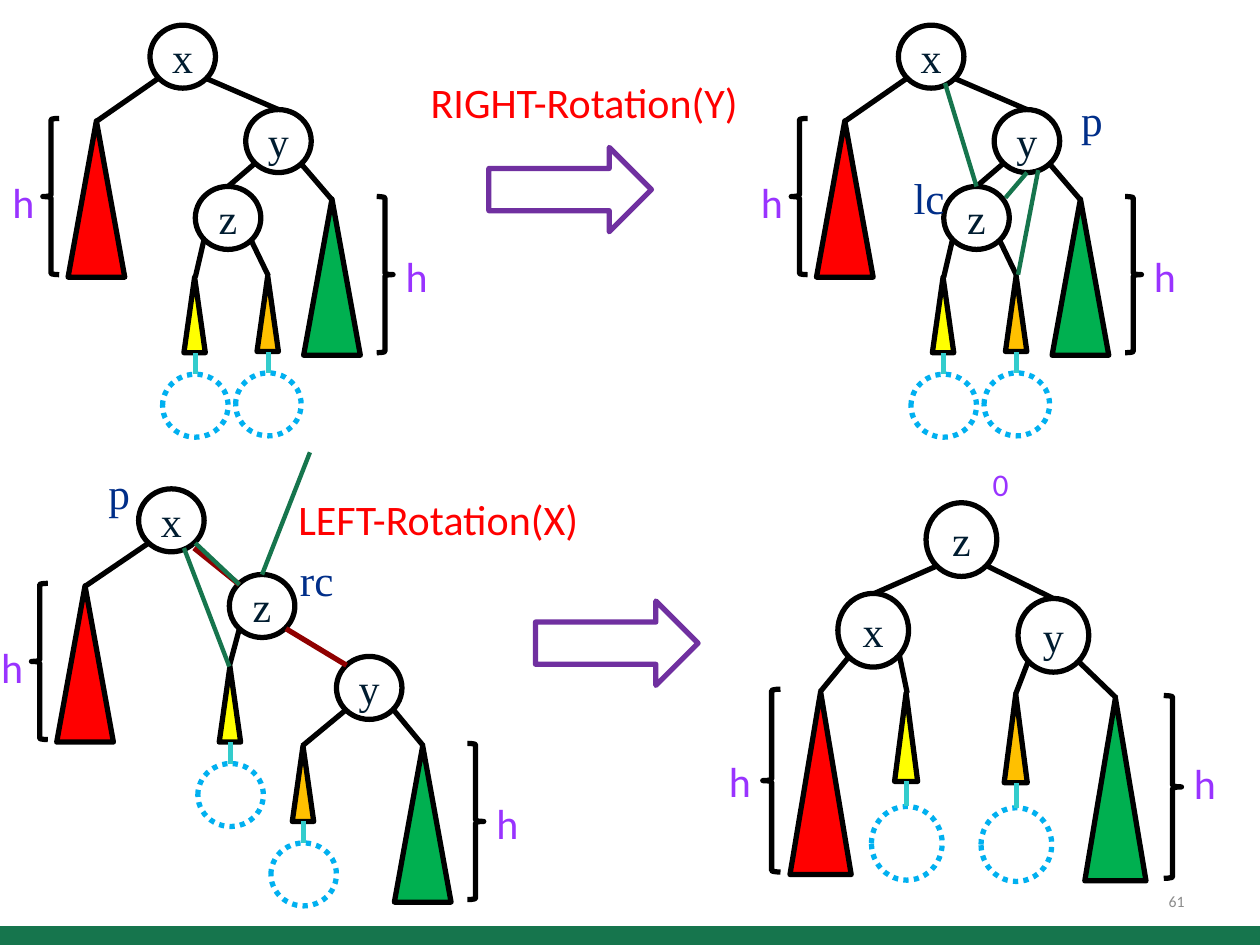
from dataclasses import dataclass

from lxml import etree
from pptx import Presentation
from pptx.dml.color import RGBColor
from pptx.enum.dml import MSO_LINE
from pptx.enum.shapes import MSO_CONNECTOR, MSO_SHAPE
from pptx.enum.text import MSO_ANCHOR, PP_ALIGN
from pptx.oxml.ns import qn
from pptx.util import Inches, Pt

OVAL, WEDGE = MSO_SHAPE.OVAL, MSO_SHAPE.ISOSCELES_TRIANGLE
LEFT, RIGHT = MSO_SHAPE.LEFT_BRACE, MSO_SHAPE.RIGHT_BRACE
ARROW, RECT = MSO_SHAPE.RIGHT_ARROW, MSO_SHAPE.RECTANGLE
DOTS = MSO_LINE.ROUND_DOT
STRAIGHT = MSO_CONNECTOR.STRAIGHT
CENTER, FLUSH = PP_ALIGN.CENTER, PP_ALIGN.RIGHT
MIDDLE = MSO_ANCHOR.MIDDLE

SANS, SERIF = "Calibri", "Times New Roman"
BLACK, RED, GOLD, YELLOW, LEAF = "000000", "FF0000", "FFC000", "FFFF00", "00B050"
GREEN, MAROON, CYAN, SKY = "16754D", "900000", "33CCCC", "00B0F0"
INK, NAVY, VIOLET, PURPLE, GRAY = "001C30", "002E89", "9933FF", "7030A0", "8C8C8C"

Spot = tuple[float, float]
Edge = tuple[float, float, float, float]


@dataclass
class Tree:
    """Nodes and subtrees by top left corner; edges by their two ends."""
    nodes: dict[str, Spot]
    tall: dict[str, Spot]
    short: dict[str, Spot]
    edges: list[Edge]
    shift: float = 0
    wide: float = 1
    high: float = 1


@dataclass
class Link:
    ends: Edge
    color: str = GREEN
    width: float = 2.5


@dataclass
class Label:
    text: str
    left: float
    top: float
    wide: float
    high: float = 0.5
    color: str = VIOLET
    size: float = 24
    font: str = SANS
    tight: bool = False
    wrap: bool = True


def rgb(code: str) -> RGBColor:
    return RGBColor.from_string(code)


def shape(kind, left: float, top: float, wide: float, high: float,
          fill: str = "", line: str = BLACK, dash=None):
    form = slide.shapes.add_shape(
        kind, Inches(left), Inches(top), Inches(wide), Inches(high))
    form.shadow.inherit = False
    if fill:
        form.fill.solid()
        form.fill.fore_color.rgb = rgb(fill)
    else:
        form.fill.background()
    if line:
        form.line.color.rgb = rgb(line)
        form.line.width = Pt(3)
        if dash:
            form.line.dash_style = dash
    else:
        form.line.fill.background()
    return form


def link(item: Link) -> None:
    wire = slide.shapes.add_connector(
        STRAIGHT, *(Inches(end) for end in item.ends))
    wire.line.color.rgb = rgb(item.color)
    wire.line.width = Pt(item.width)
    etree.SubElement(wire._element.spPr, qn("a:effectLst"))


def write(frame, text: str, color: str, size: float, font: str, tight: bool):
    if tight:
        frame.margin_left = frame.margin_right = 0
        frame.margin_top = frame.margin_bottom = 0
    para = frame.paragraphs[0]
    para.text = text
    para.font.name = font
    para.font.size = Pt(size)
    para.font.color.rgb = rgb(color)
    return para


def label(item: Label):
    box = slide.shapes.add_textbox(
        Inches(item.left), Inches(item.top), Inches(item.wide), Inches(item.high))
    frame = box.text_frame
    frame.word_wrap = item.wrap
    para = write(frame, item.text, item.color, item.size, item.font, item.tight)
    if item.tight:
        para.line_spacing = Pt(27.4)
    return frame


def mark(text: str, left: float, top: float, wide: float) -> Label:
    return Label(text, left, top, wide, 0.38, NAVY, 24.7, SERIF, True)


def node(name: str, left: float, top: float, wide: float, high: float) -> None:
    frame = shape(OVAL, left, top, wide, high).text_frame
    frame.vertical_anchor = MIDDLE
    write(frame, name, INK, 24, SERIF, True).alignment = CENTER


def draw(tree: Tree) -> None:
    dx, kx, ky = tree.shift, tree.wide, tree.high
    wide, high = 0.52 * kx, 0.5 * ky

    # Tall subtrees, each with a brace and its height
    for color, (x, y) in tree.tall.items():
        x += dx
        shape(WEDGE, x, y, 0.45 * kx, 1.24 * ky, color)
        if color == RED:
            brace, at, tag, drop = LEFT, x - 0.2 * kx, -0.34 * kx, 0.41 * ky
        else:
            brace, at, tag, drop = RIGHT, x + 0.58 * kx, 0.13 * kx, 0.38 * ky
        shape(brace, at, y - 0.02, 0.13 * kx, 1.24 * ky)
        label(Label("h", at + tag, y - 0.02 + drop, 0.41 * kx, 0.43 * ky))

    # Short subtrees, each with a dotted leaf below
    for color, (x, y) in tree.short.items():
        x += dx
        mid, foot = x + 0.09 * kx, y + 0.6 * ky
        leaf = foot + 0.17 * ky
        shape(WEDGE, x, y, 0.17 * kx, 0.6 * ky, color)
        shape(OVAL, mid - wide / 2, leaf, wide, high, line=SKY, dash=DOTS)
        link(Link((mid, leaf, mid, foot), CYAN, 3))

    for x1, y1, x2, y2 in tree.edges:
        link(Link((x1 + dx, y1, x2 + dx, y2), BLACK, 3))
    for name, (x, y) in tree.nodes.items():
        node(name, x + dx, y, wide, high)


# The top tree appears twice, before and during the right rotation
START = dict(
    nodes={"x": (1.19, 0.2), "y": (1.95, 0.87), "z": (1.55, 1.48)},
    tall={RED: (0.54, 0.96), LEAF: (2.41, 1.58)},
    short={YELLOW: (1.46, 2.2), GOLD: (2.04, 2.19)},
    edges=[(0.77, 0.96, 1.26, 0.62), (2.21, 0.87, 1.63, 0.62),
           (2.39, 1.3, 2.63, 1.58), (1.55, 2.2, 1.62, 1.9),
           (2.13, 2.19, 1.99, 1.9), (1.81, 1.48, 2.02, 1.3)])
TREES = [
    Tree(**START),
    Tree(**START, shift=5.94),
    Tree({"x": (1.1, 3.88), "z": (1.82, 4.56), "y": (2.67, 5.21)},
         {RED: (0.45, 4.65), LEAF: (3.13, 5.92)},
         {YELLOW: (1.74, 5.29), GOLD: (2.32, 5.92)},
         [(0.68, 4.65, 1.18, 4.31), (3.12, 5.63, 3.36, 5.92),
          (2.75, 5.63, 2.4, 5.92), (1.82, 5.29, 1.9, 4.99)]),
    Tree({"x": (6.65, 4.71), "y": (8.08, 4.75), "z": (7.35, 3.99)},
         {RED: (6.27, 5.49), LEAF: (8.61, 5.54)},
         {YELLOW: (7.1, 5.5), GOLD: (7.97, 5.51)},
         [(6.94, 4.71, 7.44, 4.49), (8.36, 4.75, 7.83, 4.49),
          (6.51, 5.49, 6.74, 5.21), (7.2, 5.5, 7.14, 5.21),
          (8.06, 5.51, 8.16, 5.25), (8.86, 5.54, 8.56, 5.25)],
         wide=1.08, high=1.17),
]
LINKS = [
    Link((8.24, 1.35, 8.08, 2.18)), Link((7.5, 0.66, 7.75, 1.48)),
    Link((7.98, 1.57, 8.15, 1.37)), Link((2.75, 5.28, 2.27, 4.99), MAROON, 3),
    Link((1.46, 4.35, 1.82, 5.29)), Link((1.9, 4.64, 1.54, 4.35), MAROON, 3),
    Link((1.55, 4.31, 1.9, 4.64)), Link((2.46, 3.59, 2.08, 4.56)),
]
LABELS = [
    Label("RIGHT-Rotation(Y)", 3.32, 0.56, 2.64, color=RED, wrap=False),
    Label("LEFT-Rotation(X)", 2.27, 3.87, 2.44, color=RED, wrap=False),
    Label("0", 7.78, 3.64, 0.44, 0.4, size=18),
    mark("lc", 7.25, 1.39, 0.48), mark("p", 8.58, 0.77, 0.72),
    mark("p", 0.86, 3.73, 0.72), mark("rc", 2.38, 4.42, 0.48),
]

deck = Presentation()
deck.slide_width, deck.slide_height = Inches(10), Inches(7.5)
slide = deck.slides.add_slide(deck.slide_layouts[6])

# Footer bar and page number
shape(RECT, 0, 7.35, 10, 0.18, GREEN, "")
page = label(Label("61", 7.17, 6.95, 2.33, 0.4, GRAY, 9))
page.vertical_anchor = MIDDLE
page.paragraphs[0].alignment = FLUSH

# Trees, pointer changes, arrows and labels
for tree in TREES:
    draw(tree)
for item in LINKS:
    link(item)
for left, top in ((3.88, 1.17), (4.25, 4.77)):
    shape(ARROW, left, top, 1.29, 0.67, line=PURPLE)
for item in LABELS:
    label(item)

deck.save("out.pptx")
